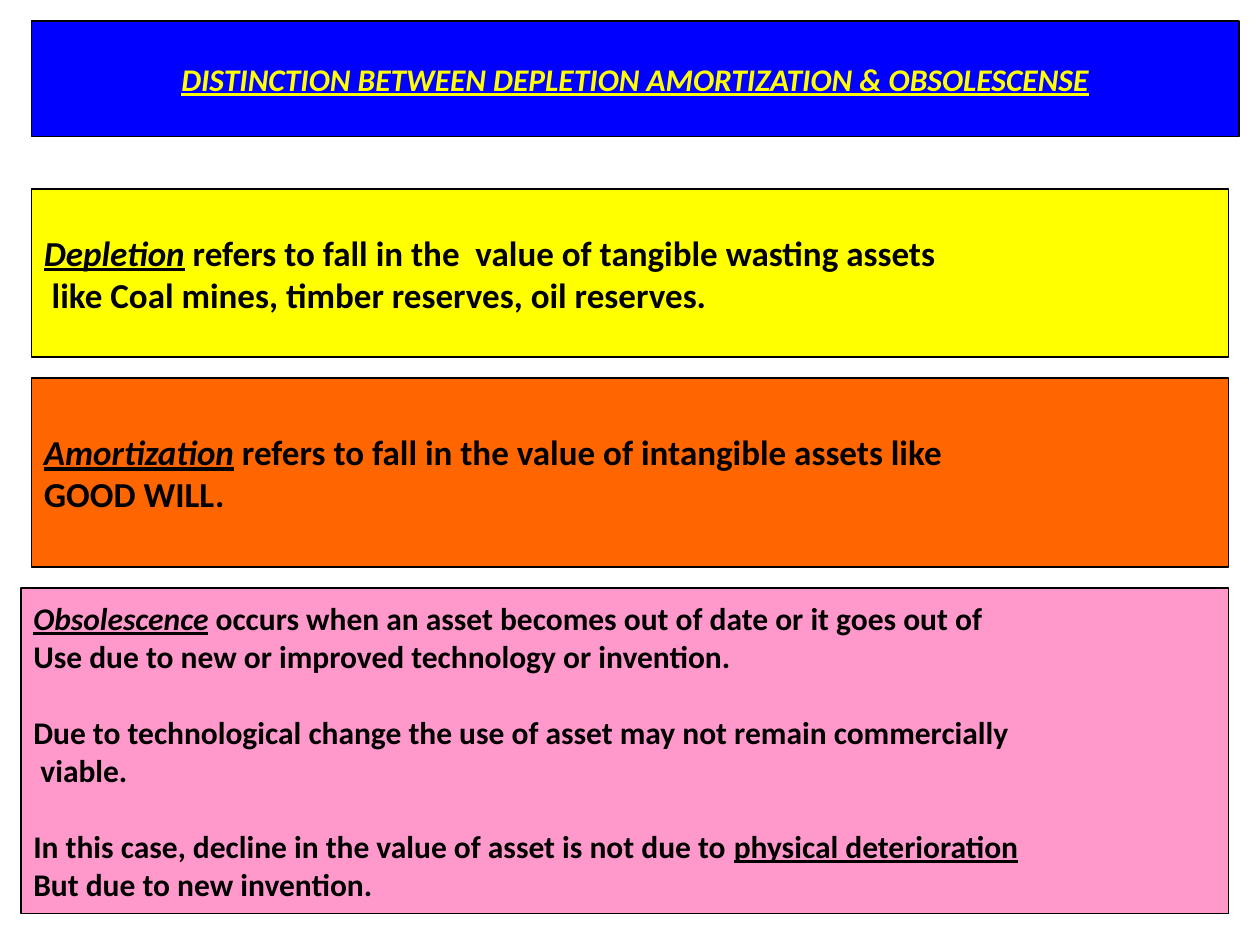
import pptx
import pptx.util
import pptx.dml.color
import pptx.enum.shapes
import pptx.enum.text

BLACK = pptx.dml.color.RGBColor(0, 0, 0)
BLUE = pptx.dml.color.RGBColor(0, 0, 255)
YELLOW = pptx.dml.color.RGBColor(255, 255, 0)
ORANGE = pptx.dml.color.RGBColor(255, 102, 0)
PINK = pptx.dml.color.RGBColor(255, 153, 204)

GRID_COLUMNS, GRID_ROWS = 120, 90
PLAIN, UNDERLINED, TERM = (False, False), (False, True), (True, True)

deck = pptx.Presentation()
deck.slide_width = pptx.util.Inches(10)
deck.slide_height = pptx.util.Inches(7.5)
page = deck.slides.add_slide(deck.slide_layouts[5])


def grid_box(column, row, columns, rows):
    unit_x = deck.slide_width / GRID_COLUMNS
    unit_y = deck.slide_height / GRID_ROWS
    return [round(column * unit_x), round(row * unit_y),
            round(columns * unit_x), round(rows * unit_y)]


def style_box(shape, fill):
    shape.fill.solid()
    shape.fill.fore_color.rgb = fill
    shape.line.color.rgb = BLACK
    shape.line.width = pptx.util.Pt(0.75)
    frame = shape.text_frame
    frame.word_wrap = True
    frame.auto_size = pptx.enum.text.MSO_AUTO_SIZE.NONE
    frame.vertical_anchor = pptx.enum.text.MSO_ANCHOR.MIDDLE
    return frame


def style_paragraph(para, size, color, alignment):
    para.alignment = alignment
    para.font.name = "Calibri"
    para.font.size = pptx.util.Pt(size)
    para.font.bold = True
    para.font.color.rgb = color


def add_title(box, text):
    title = page.shapes.title
    title.left, title.top, title.width, title.height = box
    frame = style_box(title, BLUE)
    frame.text = text
    para = frame.paragraphs[0]
    style_paragraph(para, 18, YELLOW, pptx.enum.text.PP_ALIGN.CENTER)
    para.font.italic = True
    para.font.underline = True


def add_definition(box, fill, size, blocks):
    panel = page.shapes.add_shape(pptx.enum.shapes.MSO_SHAPE.RECTANGLE, *box)
    panel.shadow.inherit = False
    frame = style_box(panel, fill)
    para = None
    for block in blocks:
        for index, line in enumerate(block):
            starts_block = para is not None and index == 0
            para = frame.add_paragraph() if para is not None else frame.paragraphs[0]
            style_paragraph(para, size, BLACK, pptx.enum.text.PP_ALIGN.LEFT)
            if starts_block:
                para.space_before = pptx.util.Pt(size * 1.22)
            for text, (italic, underline) in line:
                span = para.add_run()
                span.text = text
                span.font.italic = italic
                span.font.underline = underline


add_title(grid_box(3, 2, 115, 11),
          "DISTINCTION BETWEEN DEPLETION AMORTIZATION & OBSOLESCENSE")

add_definition(grid_box(3, 18, 114, 16), YELLOW, 20, [[
    [("Depletion", TERM),
     (" refers to fall in the  value of tangible wasting assets", PLAIN)],
    [(" like Coal mines, timber reserves, oil reserves.", PLAIN)],
]])

add_definition(grid_box(3, 36, 114, 18), ORANGE, 20, [[
    [("Amortization", TERM),
     (" refers to fall in the value of intangible assets like", PLAIN)],
    [("GOOD WILL.", PLAIN)],
]])

add_definition(grid_box(2, 56, 115, 31), PINK, 18, [
    [[("Obsolescence", TERM),
      (" occurs when an asset becomes out of date or it goes out of", PLAIN)],
     [("Use due to new or improved technology or invention.", PLAIN)]],
    [[("Due to technological change the use of asset may not remain commercially", PLAIN)],
     [(" viable.", PLAIN)]],
    [[("In this case, decline in the value of asset is not due to ", PLAIN),
      ("physical deterioration", UNDERLINED)],
     [("But due to new invention.", PLAIN)]],
])

deck.save("out.pptx")
